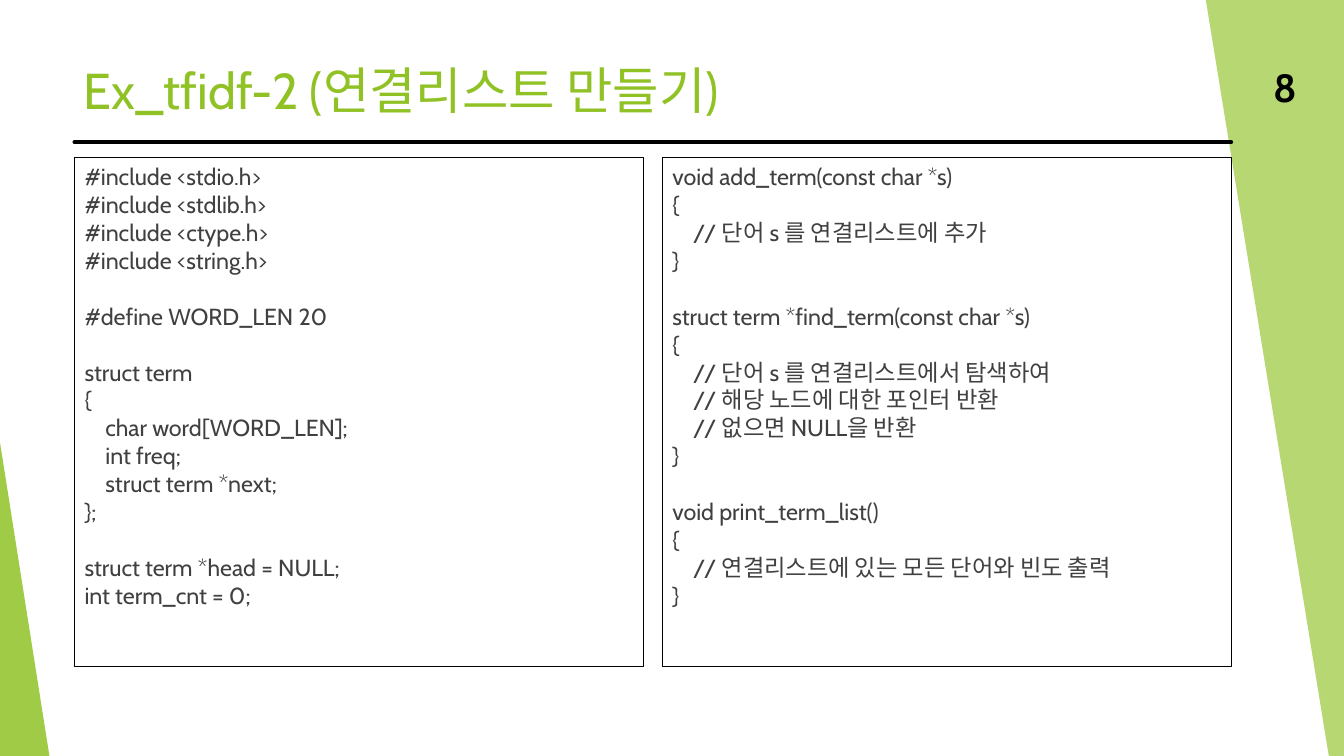
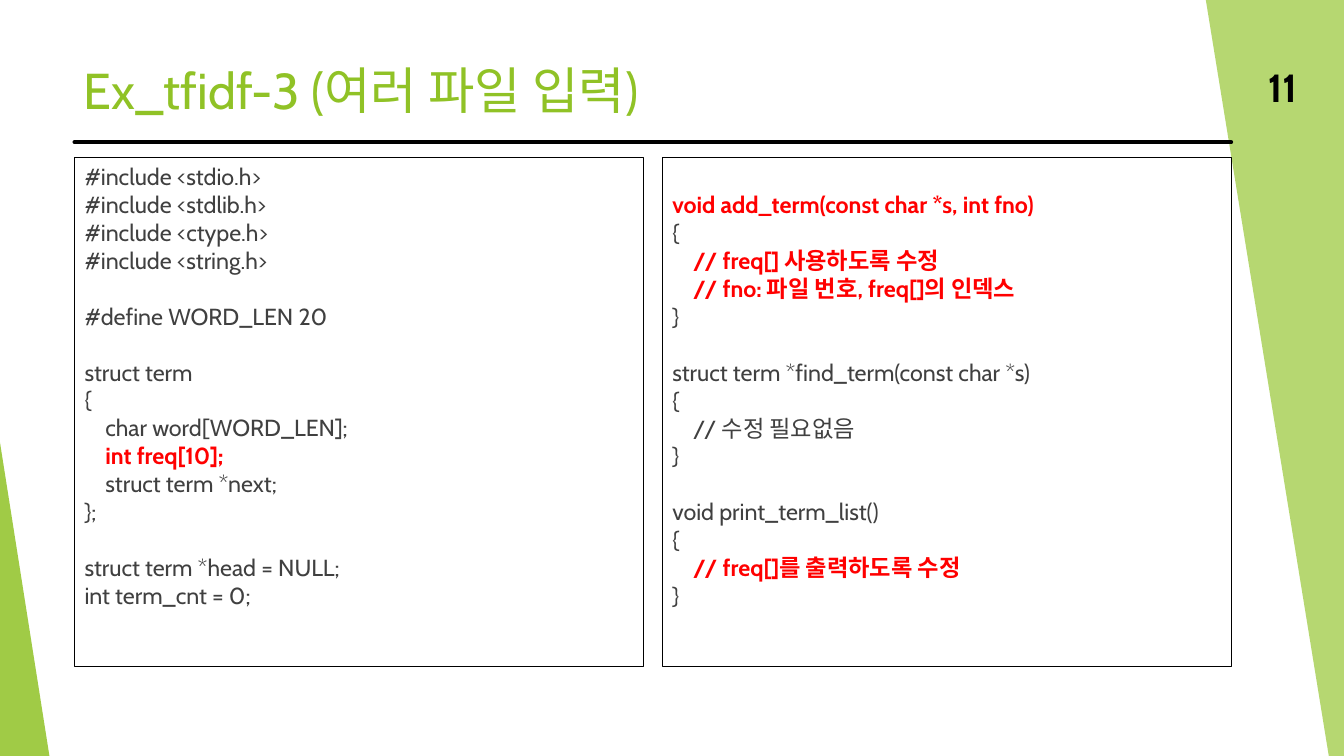
from lxml.etree import SubElement
from pptx import Presentation
from pptx.dml.color import RGBColor
from pptx.enum.shapes import MSO_CONNECTOR, MSO_SHAPE
from pptx.enum.text import MSO_ANCHOR, PP_ALIGN
from pptx.oxml.ns import qn
from pptx.util import Inches, Pt

GREEN = RGBColor(0x90, 0xC2, 0x26)
BLACK = RGBColor(0x00, 0x00, 0x00)
GRAY = RGBColor(0x40, 0x40, 0x40)
RED = RGBColor(0xFF, 0x00, 0x00)
FONT = "Cabin"
CODE_LINE = 19.95  # line pitch in points

# Code of both slides
DECLARATIONS = """#include <stdio.h>
#include <stdlib.h>
#include <ctype.h>
#include <string.h>

#define WORD_LEN 20

struct term
{
    char word[WORD_LEN];
    int freq;
    struct term *next;
};

struct term *head = NULL;
int term_cnt = 0;"""

LIST_FUNCTIONS = """void add_term(const char *s)
{
    // 단어 s 를 연결리스트에 추가
}

struct term *find_term(const char *s)
{
    // 단어 s 를 연결리스트에서 탐색하여
    // 해당 노드에 대한 포인터 반환
    // 없으면 NULL을 반환
}

void print_term_list()
{
    // 연결리스트에 있는 모든 단어와 빈도 출력
}"""

FILE_FUNCTIONS = """
void add_term(const char *s, int fno)
{
    // freq[] 사용하도록 수정
    // fno: 파일 번호, freq[]의 인덱스
}

struct term *find_term(const char *s)
{
    // 수정 필요없음
}

void print_term_list()
{
    // freq[]를 출력하도록 수정
}"""

# Title, slide number, code columns, words that mark a changed line
SLIDES = [
    ("Ex_tfidf-2 (연결리스트 만들기)", "8",
     [DECLARATIONS, LIST_FUNCTIONS], []),
    ("Ex_tfidf-3 (여러 파일 입력)", "11",
     [DECLARATIONS.replace("freq;", "freq[10];"), FILE_FUNCTIONS], ["freq[", "fno"]),
]


def add_text(slide, text, left, top, width, height, size, color, bold=False,
             align=PP_ALIGN.LEFT, anchor=MSO_ANCHOR.MIDDLE, pitch=None, changed=()):
    """Add a text box; an empty line becomes a gap of one pitch."""
    shape = slide.shapes.add_textbox(Inches(left), Inches(top), Inches(width), Inches(height))
    frame = shape.text_frame
    frame.word_wrap = True
    frame.vertical_anchor = anchor
    paragraph = None
    gap = 0
    for line in text.split("\n"):
        if not line:
            gap += pitch
            continue
        if paragraph is None:
            paragraph = frame.paragraphs[0]
            frame.margin_top += Pt(gap)
        else:
            paragraph = frame.add_paragraph()
            paragraph.space_before = Pt(gap)
        gap = 0
        paragraph.alignment = align
        if pitch:
            paragraph.line_spacing = Pt(pitch)
        run = paragraph.add_run()
        run.text = line
        is_changed = any(word in line for word in changed)
        run.font.name = FONT
        run.font.size = Pt(size)
        run.font.bold = bold or is_changed
        run.font.color.rgb = RED if is_changed else color
    return shape


presentation = Presentation()
presentation.slide_width = Inches(13.33)
presentation.slide_height = Inches(7.5)

for title, number, columns, changed in SLIDES:
    slide = presentation.slides.add_slide(presentation.slide_layouts[6])

    # Green wedges at both edges
    builder = slide.shapes.build_freeform(Inches(11.96), 0, scale=1.0)
    builder.add_line_segments([(Inches(x), Inches(y)) for x, y in
                               [(13.33, 0), (13.33, 7.5), (13.18, 7.5)]], close=True)
    right_wedge = builder.convert_to_shape()
    left_wedge = slide.shapes.add_shape(MSO_SHAPE.ISOSCELES_TRIANGLE, 0, Inches(4.39),
                                        Inches(0.49), Inches(3.11))
    left_wedge.adjustments[0] = 0
    for wedge, opacity in [(right_wedge, 65), (left_wedge, 85)]:
        wedge.shadow.inherit = False
        wedge.line.fill.background()
        wedge.fill.solid()
        wedge.fill.fore_color.rgb = GREEN
        color_element = wedge.fill._xPr.find(qn("a:solidFill"))[0]
        SubElement(color_element, qn("a:alpha"), val=str(opacity * 1000))

    # Rule under the title
    rule = slide.shapes.add_connector(MSO_CONNECTOR.STRAIGHT, Inches(0.74), Inches(1.41),
                                      Inches(12.21), Inches(1.41))
    rule.line.color.rgb = BLACK
    rule.line.width = Pt(3)
    rule.line._get_or_add_ln().set("cap", "rnd")
    SubElement(rule._element.spPr, qn("a:effectLst"))

    # Title and slide number
    add_text(slide, title, 0.73, 0.49, 11.12, 0.8, size=36, color=GREEN)
    add_text(slide, number, 12.21, 0.66, 0.75, 0.4, size=28, color=BLACK, bold=True,
             align=PP_ALIGN.RIGHT)

    # Two framed code columns
    for index, code in enumerate(columns):
        code_box = add_text(slide, code, 0.74 + index * 5.83, 1.56, 5.64, 5.05, size=16.6,
                            color=GRAY, anchor=MSO_ANCHOR.TOP, pitch=CODE_LINE,
                            changed=changed)
        code_box.line.color.rgb = BLACK
        code_box.line.width = Pt(0.75)

presentation.save("out.pptx")
